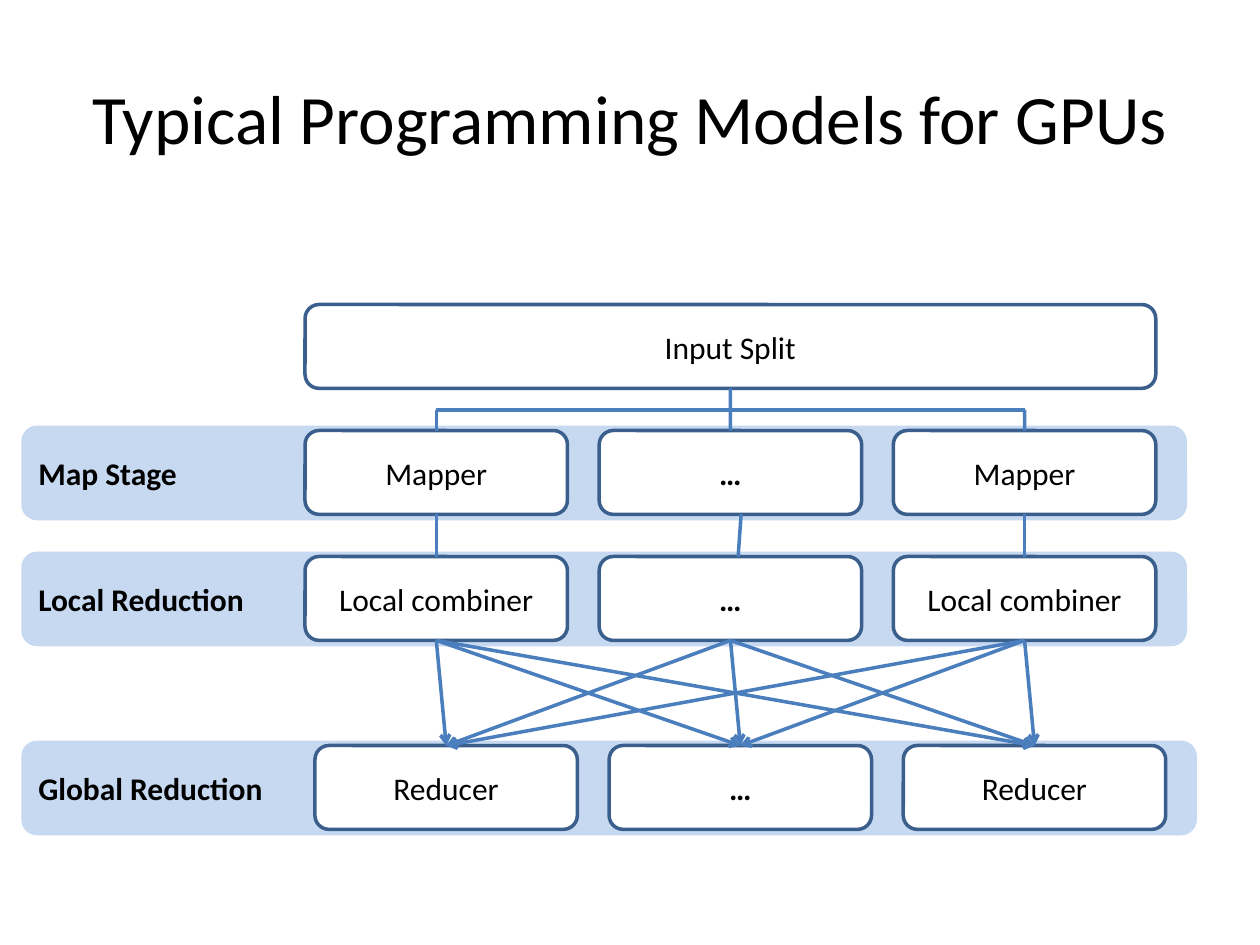
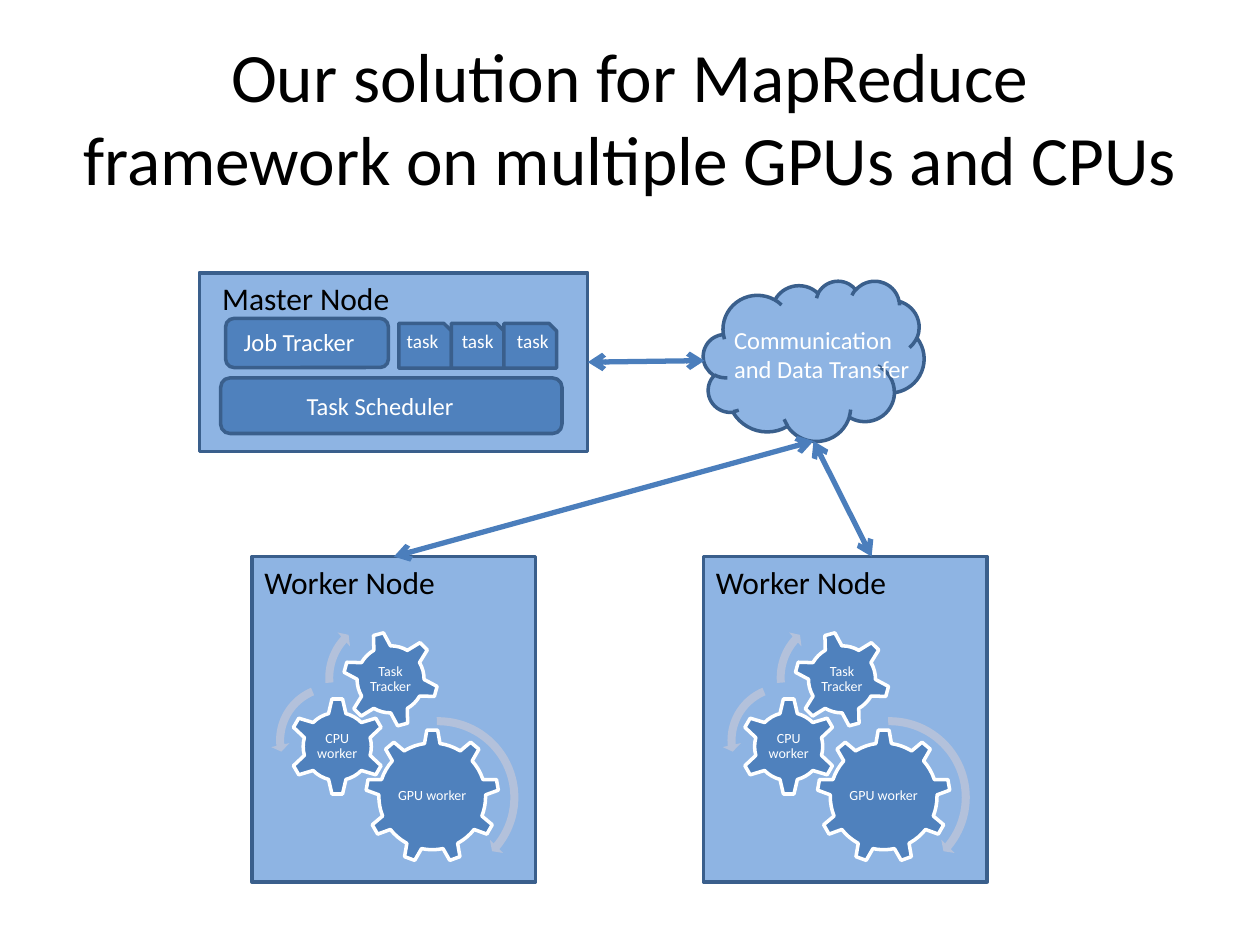
from pptx import Presentation
from pptx.dml.color import RGBColor
from pptx.enum.shapes import MSO_CONNECTOR, MSO_SHAPE
from pptx.enum.text import MSO_ANCHOR, PP_ALIGN
from pptx.oxml.ns import qn
from pptx.util import Cm, Pt
from lxml.etree import SubElement

FONT = "Calibri"
BLACK = RGBColor(0x00, 0x00, 0x00)
WHITE = RGBColor(0xFF, 0xFF, 0xFF)
BAND = RGBColor(0xC6, 0xD9, 0xF1)
NODE = RGBColor(0x8E, 0xB4, 0xE3)
ACCENT = RGBColor(0x4F, 0x81, 0xBD)
OUTLINE = RGBColor(0x3A, 0x5F, 0x8C)
LINK = RGBColor(0x4B, 0x7E, 0xBC)
TURN = RGBColor(0xB3, 0xC1, 0xDB)

TOP, BOTTOM, RIGHT = 0, 2, 3
BOX_LEFT, BOX_STEP, BOX_W, BOX_H = 6.15, 5.93, 5.29, 1.69
WORKER_TOP, WORKER_W, WORKER_H = 11.22, 5.72, 6.56

GEARS = [
    ("GPU worker", MSO_SHAPE.GEAR_9, 2.29, 3.49, 2.69, 0, 1.6),
    ("CPU worker", MSO_SHAPE.GEAR_6, 0.74, 2.85, 1.96, 0, 1),
    ("Task Tracker", MSO_SHAPE.GEAR_6, 1.83, 1.51, 1.93, 345, 1.07),
]
TURN_ARROWS = [
    (MSO_SHAPE.CIRCULAR_ARROW, 2.03, 3.13, 3.45, (0.047, 2.99, 24.006, 161.375, 0.055)),
    (MSO_SHAPE.LEFT_CIRCULAR_ARROW, 0.38, 2.45, 2.51, (0.065, 4.3, 104.891, 148.378, 0.075)),
    (MSO_SHAPE.CIRCULAR_ARROW, 1.37, 1.1, 2.69, (0.06, 3.941, 133.138, 105.082, 0.07)),
]


def add_slide(prs, title):
    s = prs.slides.add_slide(prs.slide_layouts[5])
    sp = s.shapes.title
    sp.left, sp.top, sp.width, sp.height = Cm(1.27), Cm(0.76), Cm(22.86), Cm(3.18)
    set_text(sp, title, 39.6)
    sp.text_frame.vertical_anchor = MSO_ANCHOR.MIDDLE
    return s


def set_text(sp, text, size=18, color=BLACK, align=PP_ALIGN.CENTER, bold=False):
    tf = sp.text_frame
    tf.word_wrap = True
    p = tf.paragraphs[0]
    p.text = text
    p.alignment = align
    p.font.name = FONT
    p.font.size = Pt(size)
    p.font.bold = bold
    p.font.color.rgb = color
    return p


def add_box(s, kind, x, y, w, h, fill, line=OUTLINE):
    sp = s.shapes.add_shape(kind, Cm(x), Cm(y), Cm(w), Cm(h))
    sp.shadow.inherit = False
    sp.fill.solid()
    sp.fill.fore_color.rgb = fill
    if line is None:
        sp.line.fill.background()
    else:
        sp.line.color.rgb = line
        sp.line.width = Pt(2)
    return sp


def add_label(s, text, x, y, w, h, size=18, color=BLACK):
    sp = s.shapes.add_textbox(Cm(x), Cm(y), Cm(w), Cm(h))
    set_text(sp, text, size, color, PP_ALIGN.LEFT)


def add_line(s, start, end, width=2, arrows=()):
    cxn = s.shapes.add_connector(
        MSO_CONNECTOR.STRAIGHT, *(Cm(v) for v in (*start, *end)))
    cxn.line.color.rgb = LINK
    cxn.line.width = Pt(width)
    ln = cxn.line._get_or_add_ln()
    for tag in arrows:
        SubElement(ln, qn(f"a:{tag}"), type="arrow")
    SubElement(cxn._element.spPr, qn("a:effectLst"))
    return cxn


def link_down(s, upper, lower, arrows=()):
    cxn = add_line(s, (0, 0), (1, 1), arrows=arrows)
    cxn.begin_connect(upper, BOTTOM)
    cxn.end_connect(lower, TOP)


def add_stage(s, name, task, y, band_w=23.5, left=BOX_LEFT):
    band = add_box(s, MSO_SHAPE.ROUNDED_RECTANGLE, 0.43, y - 0.1, band_w, 1.91, BAND, None)
    set_text(band, name, align=PP_ALIGN.LEFT, bold=True)
    boxes = []
    for i, text in enumerate((task, "…", task)):
        sp = add_box(s, MSO_SHAPE.ROUNDED_RECTANGLE, left + i * BOX_STEP, y, BOX_W, BOX_H, WHITE)
        set_text(sp, text, bold=text == "…")
        boxes.append(sp)
    return boxes


def add_gear(s, left, text, kind, x, y, size, turn, label_w):
    gear = add_box(s, kind, left + x, WORKER_TOP + y, size, size, ACCENT, WHITE)
    gear.rotation = turn
    inset = (size - label_w) / 2
    sp = s.shapes.add_textbox(
        Cm(left + x + inset), Cm(WORKER_TOP + y + inset), Cm(label_w), Cm(label_w))
    p = set_text(sp, text, 8, WHITE)
    p.line_spacing = 0.9
    tf = sp.text_frame
    tf.vertical_anchor = MSO_ANCHOR.MIDDLE
    tf.margin_left = tf.margin_right = tf.margin_top = tf.margin_bottom = Cm(0.03)


def add_worker(s, left):
    worker = add_box(s, MSO_SHAPE.RECTANGLE, left, WORKER_TOP, WORKER_W, WORKER_H, NODE)
    add_label(s, "Worker Node", left, WORKER_TOP, 4.24, 1.02)
    for gear in GEARS:
        add_gear(s, left, *gear)
    for kind, x, y, size, adjustments in TURN_ARROWS:
        sp = add_box(s, kind, left + x, WORKER_TOP + y, size, size, TURN, None)
        for i, value in enumerate(adjustments):
            sp.adjustments[i] = value
    return worker


def add_master(s):
    master = add_box(s, MSO_SHAPE.RECTANGLE, 4.02, 5.5, 7.83, 3.6, NODE)
    add_label(s, "Master Node", 4.23, 5.5, 4.24, 1.02)
    add_box(s, MSO_SHAPE.ROUNDED_RECTANGLE, 4.55, 6.42, 3.28, 0.99, ACCENT)
    add_label(s, "Job Tracker", 4.66, 6.46, 2.84, 0.86, 14, WHITE)
    add_box(s, MSO_SHAPE.ROUNDED_RECTANGLE, 4.45, 7.62, 6.88, 1.12, ACCENT)
    add_label(s, "Task Scheduler", 5.93, 7.75, 3.6, 0.86, 14, WHITE)
    for i in range(3):
        x = 8.04 + i * 1.06
        add_box(s, MSO_SHAPE.SNIP_1_RECTANGLE, x, 6.52, 1.06, 0.9, ACCENT)
        add_label(s, "task", 7.95 + i * 1.11, 6.51, 1.17, 0.74, 11, WHITE)
    return master


def build_models(prs):
    s = add_slide(prs, "Typical Programming Models for GPUs")
    split = add_box(s, MSO_SHAPE.ROUNDED_RECTANGLE,
                    BOX_LEFT, 6.14, 2 * BOX_STEP + BOX_W, BOX_H, WHITE)
    set_text(split, "Input Split")
    mappers = add_stage(s, "Map Stage", "Mapper", 8.68)
    combiners = add_stage(s, "Local Reduction", "Local combiner", 11.22)
    reducers = add_stage(s, "Global Reduction", "Reducer", 15.03, 23.7, 6.35)

    first = BOX_LEFT + BOX_W / 2
    last = first + 2 * BOX_STEP
    add_line(s, (first, 8.26), (last, 8.26))
    for x, mapper in ((first, mappers[0]), (last, mappers[2])):
        add_line(s, (x, 8.26), (x, 8.68)).end_connect(mapper, TOP)
    link_down(s, split, mappers[1])
    link_down(s, mappers[0], combiners[0])
    add_line(s, (14.94, 10.37), (14.88, 11.22))
    link_down(s, mappers[2], combiners[2])
    for combiner in combiners:
        for reducer in reducers:
            link_down(s, combiner, reducer, ("tailEnd",))


def build_solution(prs):
    s = add_slide(prs, "Our solution for MapReduce framework on multiple GPUs and CPUs")
    master = add_master(s)
    left_worker = add_worker(s, 5.08)
    add_worker(s, 14.18)
    add_box(s, MSO_SHAPE.CLOUD, 14.18, 5.66, 4.45, 3.23, NODE)
    add_label(s, "Communication and Data Transfer", 14.55, 6.42, 4.24, 1.45, 14, WHITE)

    both = ("headEnd", "tailEnd")
    hub = (16.4, 8.89)
    add_line(s, (14.2, 7.27), (11.85, 7.3), 3, both).end_connect(master, RIGHT)
    add_line(s, hub, (7.94, WORKER_TOP), 3, both).end_connect(left_worker, TOP)
    add_line(s, hub, (17.57, WORKER_TOP), 3, both)


def main():
    prs = Presentation()
    prs.slide_width, prs.slide_height = Cm(25.4), Cm(19.05)
    build_models(prs)
    build_solution(prs)
    prs.save("out.pptx")


if __name__ == "__main__":
    main()
